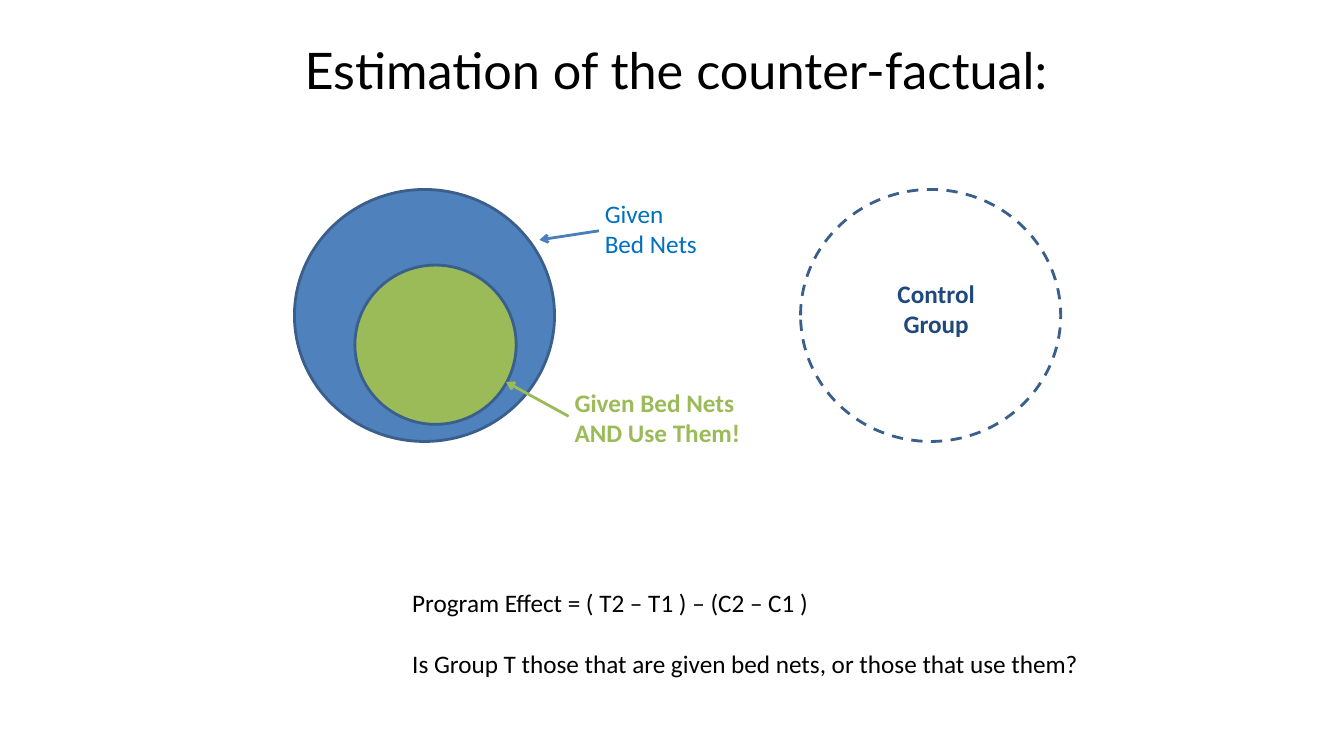
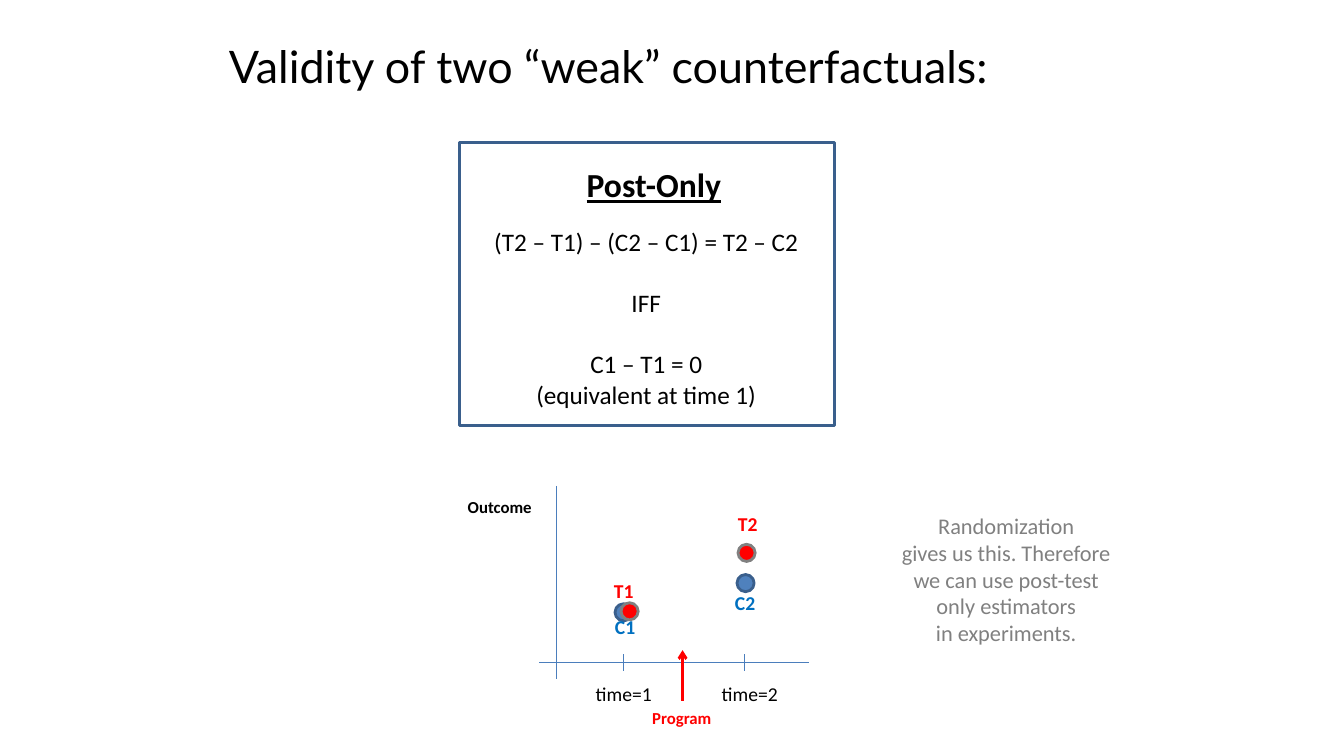
from lxml import etree
from pptx import Presentation
from pptx.dml.color import RGBColor
from pptx.enum.dml import MSO_LINE
from pptx.enum.shapes import MSO_CONNECTOR, MSO_SHAPE
from pptx.enum.text import PP_ALIGN
from pptx.oxml.ns import qn
from pptx.util import Inches, Pt

LEFT, CENTER = PP_ALIGN.LEFT, PP_ALIGN.CENTER
OVAL, RECT = MSO_SHAPE.OVAL, MSO_SHAPE.RECTANGLE
STRAIGHT, DASH = MSO_CONNECTOR.STRAIGHT, MSO_LINE.DASH

COLORS = {
    "black": "000000",
    "blue": "4F81BD",
    "outline": "3A5F8C",
    "line": "4B7EBC",
    "navy": "1F497D",
    "bright": "0070C0",
    "green": "9BBB59",
    "red": "FF0000",
    "gray": "808080",
}
RGB = {name: RGBColor.from_string(value) for name, value in COLORS.items()}
TITLE_FONT, BODY_FONT = "Lato", "Calibri"


def add_text(slide, box, paragraphs, size=18, color="black", bold=False,
             align=LEFT, underline=False):
    """Each paragraph is (text, points before); \\v breaks a line."""
    tf = slide.shapes.add_textbox(*map(Inches, box)).text_frame
    tf.word_wrap = False
    for i, (text, before) in enumerate(paragraphs):
        p = tf.add_paragraph() if i else tf.paragraphs[0]
        p.text = text
        p.alignment = align
        p.space_before = Pt(before)
        p.font.name = BODY_FONT
        p.font.size = Pt(size)
        p.font.bold = bold
        p.font.underline = underline
        p.font.color.rgb = RGB[color]


def add_line(slide, start, end, color="line", width=0.75, arrow=False):
    line = slide.shapes.add_connector(STRAIGHT, *map(Inches, start + end))
    line.line.color.rgb = RGB[color]
    line.line.width = Pt(width)
    sp_pr = line.element.spPr
    if arrow:
        etree.SubElement(sp_pr.find(qn("a:ln")), qn("a:tailEnd"), type="arrow")
    etree.SubElement(sp_pr, qn("a:effectLst"))


prs = Presentation()
prs.slide_width, prs.slide_height = Inches(13.33), Inches(7.5)

# Titles
slides = []
for title, box, size in [
    ("Estimation of the counter-factual:", (2.92, 0.33, 7.67, 0.71), 36),
    ("Validity of two “weak” counterfactuals:", (2.17, 0.33, 9.03, 0.64), 32),
]:
    s = prs.slides.add_slide(prs.slide_layouts[5])
    sp = s.shapes.title
    sp.left, sp.top, sp.width, sp.height = map(Inches, box)
    sp.text_frame.text = title
    p = sp.text_frame.paragraphs[0]
    p.alignment = LEFT
    p.font.name = TITLE_FONT
    p.font.size = Pt(size)
    p.font.color.rgb = RGB["black"]
    slides.append(s)
groups, post_only = slides

# Group circles, data points and the formula frame
DOT = 0.17
for s, kind, box, fill, outline, dash in [
    (groups, OVAL, (2.92, 1.88, 2.58, 2.5), "blue", "outline", None),
    (groups, OVAL, (3.52, 2.63, 1.6, 1.58), "green", "outline", None),
    (groups, OVAL, (7.94, 1.88, 2.58, 2.5), None, "outline", DASH),
    (post_only, OVAL, (6.1, 5.99, DOT, DOT), "blue", "outline", None),
    (post_only, OVAL, (7.31, 5.7, DOT, DOT), "blue", "outline", None),
    (post_only, OVAL, (6.16, 5.98, DOT, DOT), "red", "gray", None),
    (post_only, OVAL, (7.32, 5.4, DOT, DOT), "red", "gray", None),
    (post_only, RECT, (4.56, 1.41, 3.72, 2.81), None, "outline", None),
]:
    sp = s.shapes.add_shape(kind, *map(Inches, box))
    sp.shadow.inherit = False
    if fill:
        sp.fill.solid()
        sp.fill.fore_color.rgb = RGB[fill]
    else:
        sp.fill.background()
    sp.line.color.rgb = RGB[outline]
    sp.line.width = Pt(2)
    if dash:
        sp.line.dash_style = dash

# Slide 1: circle labels and program effect
add_text(groups, (8.77, 2.71, 1.03, 0.71), [("Control\vGroup", 0)],
         color="navy", bold=True, align=CENTER)
add_line(groups, (5.94, 2.29), (5.35, 2.38), width=2, arrow=True)
add_text(groups, (5.9, 1.92, 1.13, 0.71), [("Given\vBed Nets", 0)],
         color="bright")
add_line(groups, (5.64, 4.13), (5.02, 3.79), "green", 2, arrow=True)
add_text(groups, (5.6, 3.79, 1.86, 0.71),
         [("Given Bed Nets\vAND Use Them!", 0)], color="green", bold=True)
add_text(groups, (3.99, 5.78, 6.95, 1.01), [
    ("Program Effect = ( T2 – T1 ) – (C2 – C1 )", 0),
    ("Is Group T those that are given bed nets, or those that use them?", 22),
])

# Slide 2: formula
add_text(post_only, (5.72, 1.58, 1.56, 0.5), [("Post-Only", 0)], size=24,
         bold=True, underline=True)
add_text(post_only, (4.78, 2.2, 3.26, 1.92), [
    ("(T2 – T1) – (C2 – C1) = T2 – C2", 0),
    ("IFF", 22),
    ("C1 – T1 = 0", 22),
    ("(equivalent at time 1)", 0),
], align=CENTER)

# Slide 2: axes, ticks and program arrow
add_line(post_only, (5.52, 4.82), (5.52, 6.74))
add_line(post_only, (5.35, 6.57), (8.02, 6.57))
for x, label_x, label in [(6.18, 5.81, "time=1"), (7.38, 7.06, "time=2")]:
    add_line(post_only, (x, 6.49), (x, 6.66))
    add_text(post_only, (label_x, 6.72, 0.79, 0.34), [(label, 0)], size=14)
add_line(post_only, (6.77, 6.95), (6.77, 6.45), "red", 2, arrow=True)

# Slide 2: bold chart labels
for label, box, size, color in [
    ("Program", (6.37, 6.97, 0.8, 0.3), 12, "red"),
    ("Outcome", (4.54, 4.88, 0.84, 0.3), 12, "black"),
    ("T2", (7.22, 5.03, 0.4, 0.34), 14, "red"),
    ("T1", (5.99, 5.69, 0.4, 0.34), 14, "red"),
    ("C1", (6, 6.05, 0.41, 0.34), 14, "bright"),
    ("C2", (7.19, 5.81, 0.41, 0.34), 14, "bright"),
]:
    add_text(post_only, box, [(label, 0)], size, color, bold=True)

# Slide 2: remark
add_text(post_only, (8.83, 5.03, 2.3, 1.45), [
    ("Randomization\vgives us this. Therefore\v"
     "we can use post-test\vonly estimators", 0),
    ("in experiments.", 0),
], size=16, color="gray", align=CENTER)

prs.save("out.pptx")
